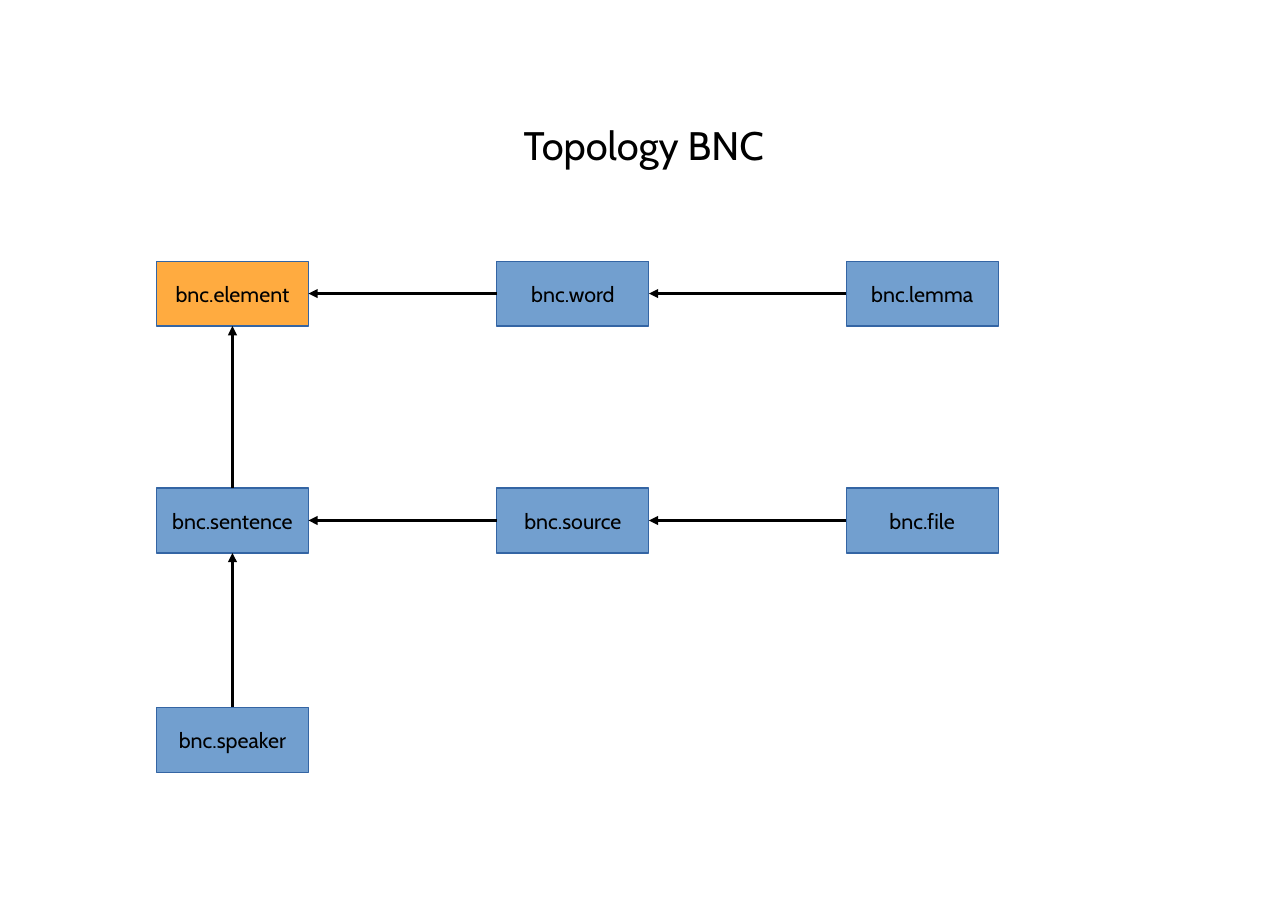
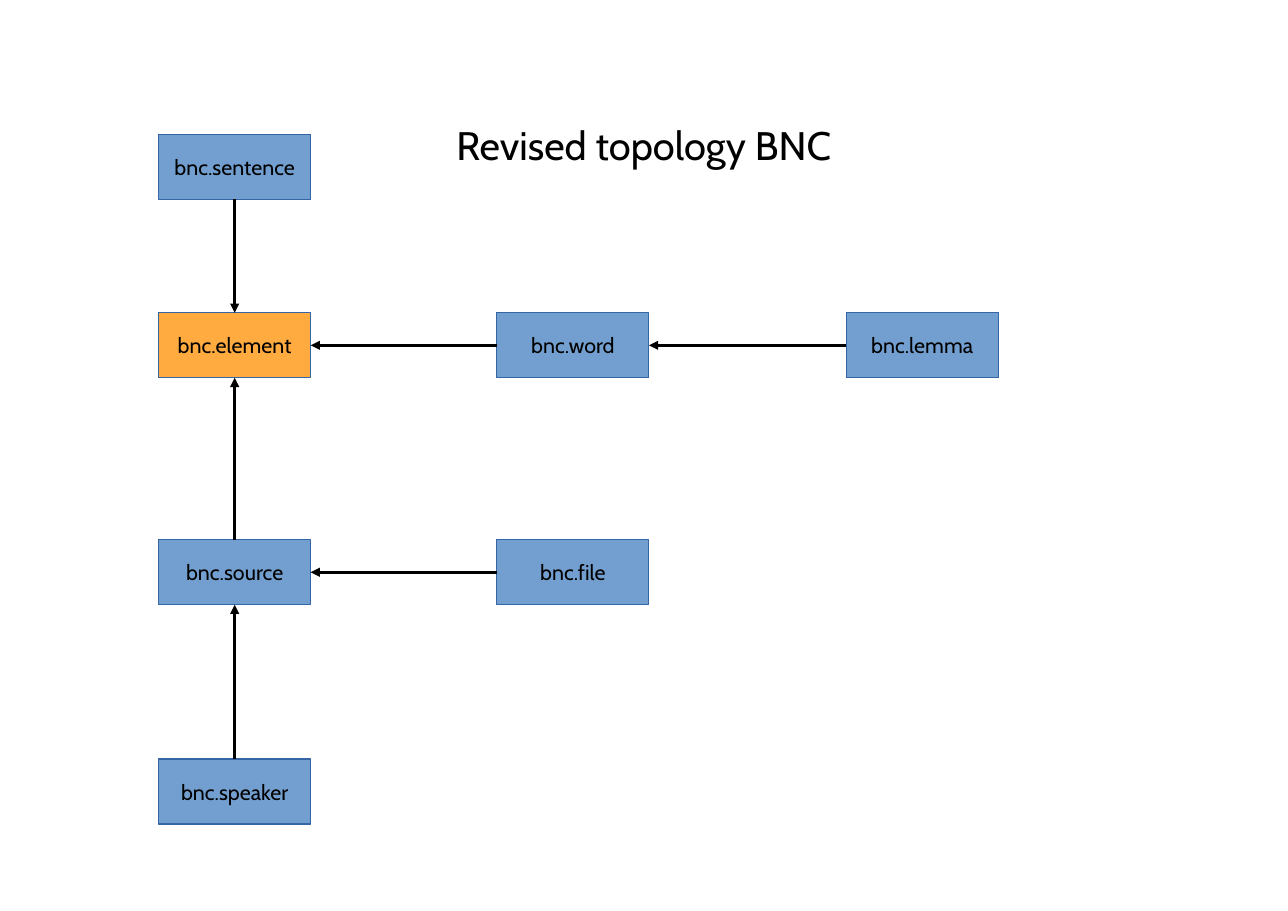
from dataclasses import dataclass

from pptx import Presentation
from pptx.dml.color import RGBColor
from pptx.enum.shapes import MSO_CONNECTOR as Connector, MSO_SHAPE as Shape
from pptx.enum.text import MSO_ANCHOR as Anchor, MSO_AUTO_SIZE as AutoSize, PP_ALIGN as Align
from pptx.oxml.ns import qn
from pptx.util import Inches, Pt
from lxml.etree import SubElement

FONT = "Cabin"
BLACK, BLUE, ORANGE, BORDER = "000000", "729FCF", "FFAB40", "3465A4"
TITLE_SIZE, NODE_SIZE = 26, 14
NODE_W, NODE_H = 1.38, 0.59
TOP, LEFT, BOTTOM, RIGHT = range(4)
TITLE_ONLY = 5


@dataclass(frozen=True)
class Node:
    name: str
    col: int
    row: int
    color: str = BLUE


@dataclass(frozen=True)
class Topology:
    title: str
    cols: tuple[float, ...]
    rows: tuple[float, ...]
    nodes: tuple[Node, ...]
    links: tuple[tuple[str, str], ...]


TOPOLOGIES = (
    Topology(
        "Topology BNC",
        cols=(1.42, 4.51, 7.68),
        rows=(2.37, 4.43, 6.42),
        nodes=(
            Node("element", 0, 0, ORANGE),
            Node("file", 2, 1),
            Node("lemma", 2, 0),
            Node("sentence", 0, 1),
            Node("source", 1, 1),
            Node("speaker", 0, 2),
            Node("word", 1, 0),
        ),
        links=(
            ("word", "element"),
            ("lemma", "word"),
            ("sentence", "element"),
            ("source", "sentence"),
            ("speaker", "sentence"),
            ("file", "source"),
        ),
    ),
    Topology(
        "Revised topology BNC",
        cols=(1.44, 4.51, 7.68),
        rows=(1.22, 2.84, 4.9, 6.89),
        nodes=(
            Node("element", 0, 1, ORANGE),
            Node("file", 1, 2),
            Node("lemma", 2, 1),
            Node("sentence", 0, 0),
            Node("source", 0, 2),
            Node("speaker", 0, 3),
            Node("word", 1, 1),
        ),
        links=(
            ("word", "element"),
            ("lemma", "word"),
            ("sentence", "element"),
            ("source", "element"),
            ("speaker", "source"),
            ("file", "source"),
        ),
    ),
)


def rgb(color: str) -> RGBColor:
    return RGBColor.from_string(color)


def write(sp, text: str, size: int) -> None:
    """Put one centred line of text in a shape."""
    tf = sp.text_frame
    tf.text = text
    tf.vertical_anchor = Anchor.MIDDLE
    p = tf.paragraphs[0]
    p.alignment = Align.CENTER
    font = p.runs[0].font
    font.name, font.size = FONT, Pt(size)
    font.color.rgb = rgb(BLACK)


def style_line(line, color: str) -> None:
    """Make a line a hairline of the given colour."""
    line.color.rgb = rgb(color)
    line.width = Pt(0)


def add_title(slide, text: str) -> None:
    sp = slide.shapes.title
    sp.left, sp.top, sp.width, sp.height = map(Inches, (0.94, 0.69, 9.81, 1.25))
    write(sp, text, TITLE_SIZE)
    tf = sp.text_frame
    tf.margin_left = tf.margin_top = tf.margin_right = tf.margin_bottom = 0
    tf.auto_size = AutoSize.SHAPE_TO_FIT_TEXT


def add_node(slide, node: Node, topology: Topology):
    box = (topology.cols[node.col], topology.rows[node.row], NODE_W, NODE_H)
    sp = slide.shapes.add_shape(Shape.RECTANGLE, *map(Inches, box))
    sp.shadow.inherit = False
    sp.fill.solid()
    sp.fill.fore_color.rgb = rgb(node.color)
    style_line(sp.line, BORDER)
    write(sp, f"bnc.{node.name}", NODE_SIZE)
    sp.text_frame.word_wrap = False
    return sp


def facing_sides(start: Node, end: Node) -> tuple[int, int]:
    """Give the sides on which two nodes of one row or column face each other."""
    if start.row == end.row:
        return (LEFT, RIGHT) if start.col > end.col else (RIGHT, LEFT)
    return (TOP, BOTTOM) if start.row > end.row else (BOTTOM, TOP)


def add_arrow(slide, start_sp, end_sp, sides: tuple[int, int]) -> None:
    arrow = slide.shapes.add_connector(Connector.STRAIGHT, 0, 0, 0, 0)
    arrow.begin_connect(start_sp, sides[0])
    arrow.end_connect(end_sp, sides[1])
    style_line(arrow.line, BLACK)
    SubElement(arrow.line._get_or_add_ln(), qn("a:tailEnd"), type="triangle")
    SubElement(arrow._element.spPr, qn("a:effectLst"))


def add_topology(prs, topology: Topology) -> None:
    slide = prs.slides.add_slide(prs.slide_layouts[TITLE_ONLY])
    add_title(slide, topology.title)
    nodes = {node.name: node for node in topology.nodes}
    shapes = {name: add_node(slide, node, topology) for name, node in nodes.items()}
    for start, end in topology.links:
        sides = facing_sides(nodes[start], nodes[end])
        add_arrow(slide, shapes[start], shapes[end], sides)


def main() -> None:
    prs = Presentation()
    prs.slide_width, prs.slide_height = Inches(11.69), Inches(8.27)
    for topology in TOPOLOGIES:
        add_topology(prs, topology)
    prs.save("out.pptx")


if __name__ == "__main__":
    main()
